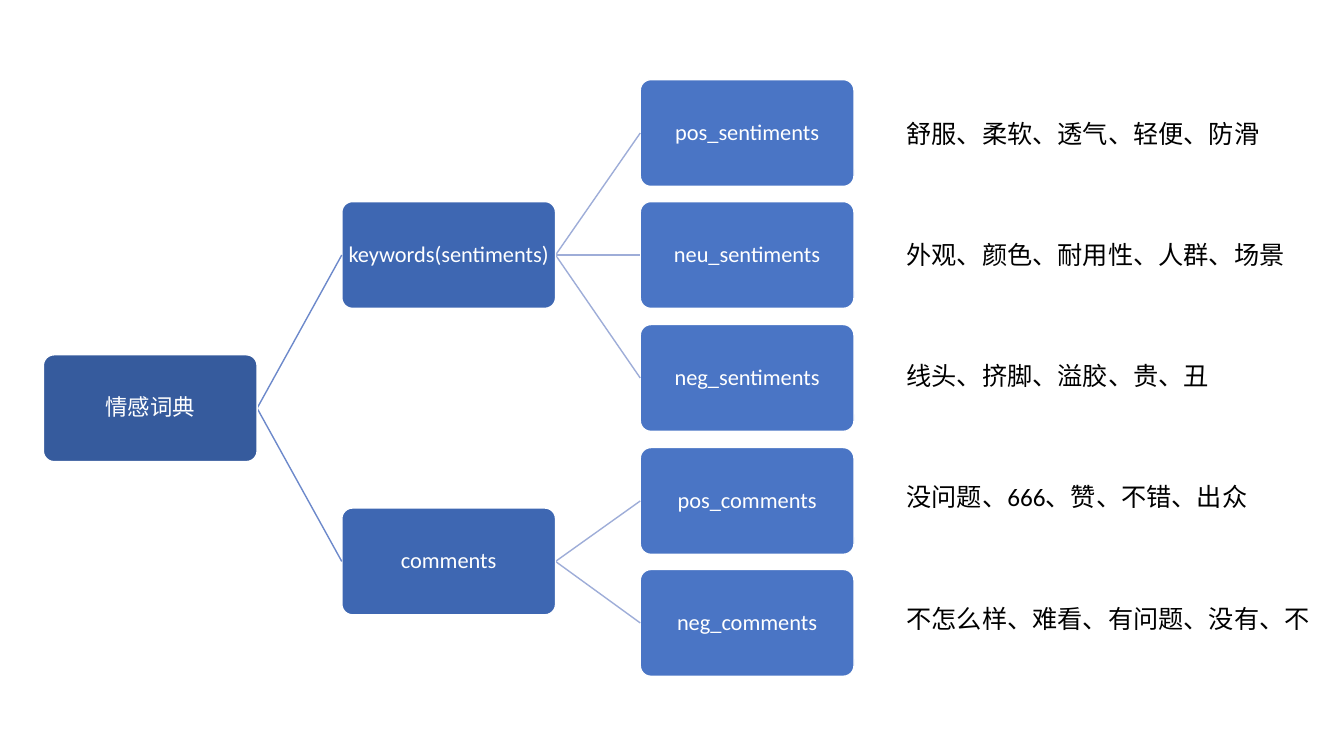
from dataclasses import dataclass

from pptx import Presentation
from pptx import util as u
from pptx.dml.color import RGBColor
from pptx.enum import shapes, text
from pptx.oxml.ns import qn

PX = 9144
BOX_WIDTH, BOX_HEIGHT = 212, 106
LEFT, COLUMN_PITCH = 43, 296
TOP, ROW_PITCH = 79, 121.5

TREE = ("情感词典", [
    ("keywords(sentiments)", [
        ("pos_sentiments", []),
        ("neu_sentiments", []),
        ("neg_sentiments", []),
    ]),
    ("comments", [
        ("pos_comments", []),
        ("neg_comments", []),
    ]),
])
WORDS = [
    "舒服、柔软、透气、轻便、防滑",
    "外观、颜色、耐用性、人群、场景",
    "线头、挤脚、溢胶、贵、丑",
    "没问题、666、赞、不错、出众",
    "不怎么样、难看、有问题、没有、不",
]


@dataclass(frozen=True)
class Theme:
    """Colours and type sizes of the slide."""
    font: str = "Calibri"
    level_fills: tuple = ("365B9D", "3E67B2", "4A75C5")
    link_lines: tuple = ("6D89CB", "9EADD8")
    light: str = "FFFFFF"
    dark: str = "000000"
    label_size: int = 16
    word_size: int = 18
    word_gap: int = 65


class TreeSlide:
    """Draws a dictionary tree and its word list on one page."""

    def __init__(self, page, theme):
        self.page = page
        self.theme = theme
        self.leaf_count = 0

    def style(self, para, size, colour):
        for span in para.runs:
            span.font.name = self.theme.font
            span.font.size = u.Pt(size)
            span.font.color.rgb = RGBColor.from_string(colour)

    def box(self, label, left, top, level):
        box = self.page.shapes.add_shape(
            shapes.MSO_SHAPE.ROUNDED_RECTANGLE,
            left * PX, top * PX, BOX_WIDTH * PX, BOX_HEIGHT * PX)
        box.adjustments[0] = 0.1
        box.shadow.inherit = False
        box.fill.solid()
        box.fill.fore_color.rgb = RGBColor.from_string(self.theme.level_fills[level])
        box.line.color.rgb = RGBColor.from_string(self.theme.light)
        box.line.width = u.Pt(1)
        frame = box.text_frame
        frame.text = label
        frame.word_wrap = True
        frame.vertical_anchor = text.MSO_ANCHOR.MIDDLE
        frame.margin_left = frame.margin_right = PX
        frame.margin_top = frame.margin_bottom = PX
        para = frame.paragraphs[0]
        para.alignment = text.PP_ALIGN.CENTER
        para.line_spacing = 0.9
        self.style(para, self.theme.label_size, self.theme.light)

    def link(self, left, start, end, level):
        right = left + COLUMN_PITCH - BOX_WIDTH
        line = self.page.shapes.add_connector(
            shapes.MSO_CONNECTOR.STRAIGHT, left * PX, start * PX, right * PX, end * PX)
        line.line.color.rgb = RGBColor.from_string(self.theme.link_lines[level])
        line.line.width = u.Pt(1)
        properties = line._element.spPr
        properties.append(properties.makeelement(qn("a:effectLst"), {}))

    def branch(self, node, level=0):
        label, children = node
        left = LEFT + level * COLUMN_PITCH
        tops = [self.branch(child, level + 1) for child in children]
        if tops:
            top = round((tops[0] + tops[-1]) / 2)
        else:
            top = round(TOP + self.leaf_count * ROW_PITCH)
            self.leaf_count += 1
        middle = BOX_HEIGHT // 2
        for child_top in tops:
            self.link(left + BOX_WIDTH, top + middle, child_top + middle, level)
        self.box(label, left, top, level)
        return top

    def word_list(self, lines, left, top, width, height):
        title = self.page.shapes.title._element
        title.getparent().remove(title)
        body = self.page.placeholders[1]
        body.left, body.top = left * PX, top * PX
        body.width, body.height = width * PX, height * PX
        frame = body.text_frame
        frame.text = "\n".join(lines)
        frame.word_wrap = True
        frame.auto_size = text.MSO_AUTO_SIZE.NONE
        frame.vertical_anchor = text.MSO_ANCHOR.TOP
        for para in frame.paragraphs:
            para.alignment = text.PP_ALIGN.LEFT
            para.space_before = u.Pt(0)
            para.space_after = u.Pt(self.theme.word_gap)
            properties = para._p.get_or_add_pPr()
            properties.set("marL", "0")
            properties.set("indent", "0")
            properties.append(properties.makeelement(qn("a:buNone"), {}))
            self.style(para, self.theme.word_size, self.theme.dark)


def main():
    deck = Presentation()
    deck.slide_width, deck.slide_height = 1333 * PX, 750 * PX
    page = deck.slides.add_slide(deck.slide_layouts[1])
    slide = TreeSlide(page, Theme())
    slide.branch(TREE)
    slide.word_list(WORDS, 889, 112, 426, 525)
    deck.save("out.pptx")


if __name__ == "__main__":
    main()
